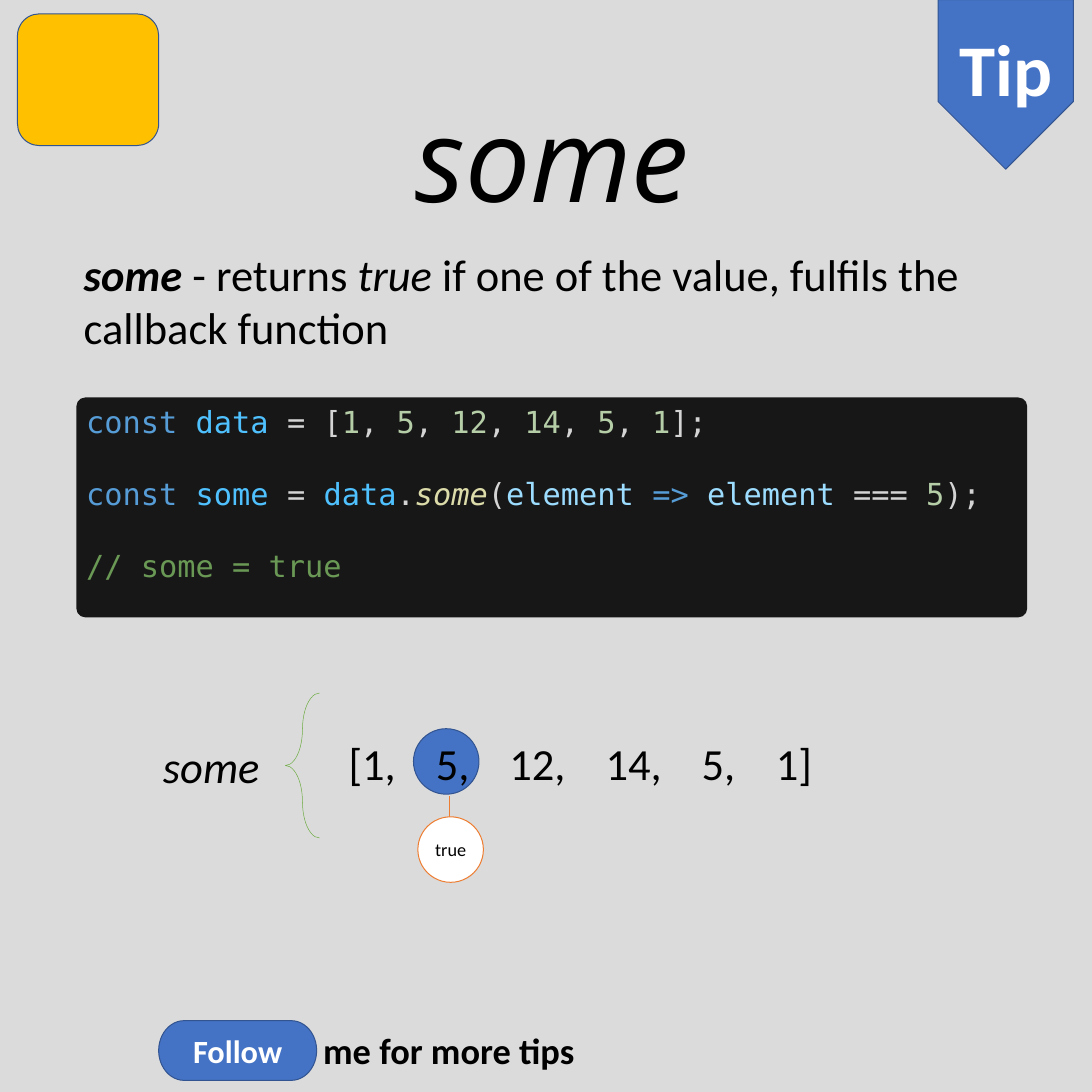
from lxml import etree
from pptx import Presentation
from pptx.dml.color import RGBColor
from pptx.enum.shapes import MSO_CONNECTOR, MSO_SHAPE
from pptx.enum.text import MSO_ANCHOR, MSO_AUTO_SIZE, PP_ALIGN
from pptx.oxml.ns import qn
from pptx.util import Inches, Pt

TOP, MID = MSO_ANCHOR.TOP, MSO_ANCHOR.MIDDLE
LEFT, CENTER = PP_ALIGN.LEFT, PP_ALIGN.CENTER
FIXED = MSO_AUTO_SIZE.NONE
ROUND, OVAL = MSO_SHAPE.ROUNDED_RECTANGLE, MSO_SHAPE.OVAL
PENNANT, PILL = MSO_SHAPE.PENTAGON, MSO_SHAPE.FLOWCHART_TERMINATOR
BRACE, STRAIGHT = MSO_SHAPE.LEFT_BRACE, MSO_CONNECTOR.STRAIGHT
SANS, MONO, HEAD = "Calibri", "DejaVu Sans Mono", "Open Sans"

HEX = {
    "page": "DBDBDB", "ink": "000000", "white": "FFFFFF", "blue": "4472C4",
    "edge": "325491", "gold": "FFC000", "green": "70AD47", "orange": "ED7D31",
    "panel": "181717", "key": "569CD6", "const": "4FC1FF", "mark": "D4D4D4",
    "num": "B5CEA8", "call": "DCDCAA", "arg": "9CDCFE", "note": "6A9955",
}

DATA = [1, 5, 12, 14, 5, 1]
NUMS = [("num", str(n)) for n in DATA]
COMMAS = [("mark", ", ")] * (len(DATA) - 1) + [("mark", "];")]
CODE = [
    [("key", "const "), ("const", "data"), ("mark", " = [")]
    + [part for pair in zip(NUMS, COMMAS) for part in pair],
    [("key", "const "), ("const", "some"), ("mark", " = "),
     ("const", "data"), ("mark", "."), ("call", "some"), ("mark", "("),
     ("arg", "element "), ("key", "=> "), ("arg", "element"),
     ("mark", " === "), ("num", "5"), ("mark", ");")],
    [("note", "// some = true")],
]
ABOUT = [("some", True, True), (" - returns ", False, False),
         ("true", False, True),
         (" if one of the value, fulfils the callback function", False, False)]
LIST = "[" + ",\t".join(map(str, DATA)) + "]"
TABS = (1.2, 2.21, 3.53, 4.85, 5.87)

prs = Presentation()
prs.slide_width = prs.slide_height = Inches(15)
slide = prs.slides.add_slide(prs.slide_layouts[1])


def tint(name):
    return RGBColor.from_string(HEX[name])


def style(run, size, color="ink", bold=False, slant=False, face=SANS):
    font = run.font
    font.size, font.name = Pt(size), face
    font.bold, font.italic = bold, slant
    font.color.rgb = tint(color)


def place(shape, box):
    shape.left, shape.top, shape.width, shape.height = map(Inches, box)


def setup(shape, anchor=TOP, wrap=True):
    frame = shape.text_frame
    frame.auto_size = FIXED
    frame.word_wrap = wrap
    frame.vertical_anchor = anchor
    return frame


def write(shape, text, size, anchor=TOP, align=LEFT, wrap=True, **look):
    frame = setup(shape, anchor, wrap)
    frame.text = text
    para = frame.paragraphs[0]
    para.alignment = align
    style(para.runs[0], size, **look)
    return para


def draw(kind, box, fill=None, line=None, width=1):
    shape = slide.shapes.add_shape(kind, *map(Inches, box))
    shape.shadow.inherit = False
    if fill:
        shape.fill.solid()
        shape.fill.fore_color.rgb = tint(fill)
    else:
        shape.fill.background()
    if line:
        shape.line.color.rgb = tint(line)
        shape.line.width = Pt(width)
    else:
        shape.line.fill.background()
    return shape


def label(box, text, size, **look):
    return write(slide.shapes.add_textbox(*map(Inches, box)), text, size, **look)


slide.background.fill.solid()
slide.background.fill.fore_color.rgb = tint("page")

title, body = slide.placeholders
place(title, (2.35, 1.13, 10.47, 2.04))
write(title, "some", 115, align=CENTER, slant=True, face=HEAD)

place(body, (1.05, 3.34, 12.58, 1.58))
para = setup(body).paragraphs[0]
para.space_before = Pt(0)
props = para._p.get_or_add_pPr()
props.set("marL", "0")
props.set("indent", "0")
etree.SubElement(props, qn("a:buNone"))
for text, bold, slant in ABOUT:
    run = para.add_run()
    run.text = text
    style(run, 44, bold=bold, slant=slant)

tip = draw(PENNANT, (12.65, 0.23, 2.33, 1.86), "blue", "edge")
tip.rotation = 90
write(tip, "Tip", 72, MID, CENTER, color="white", bold=True)
tip.text_frame._txBody.bodyPr.set("vert", "vert270")

draw(ROUND, (0.24, 0.19, 1.94, 1.81), "gold", "edge")

pill = draw(PILL, (2.18, 14.02, 2.17, 0.82), "blue", "edge")
write(pill, "Follow", 32, MID, CENTER, color="white", bold=True)
label((4.34, 14.07, 3.69, 0.71), "me for more tips", 36, wrap=False, bold=True)

panel = draw(ROUND, (1.05, 5.46, 13.06, 3.02), "panel")
panel.adjustments[0] = 0.04
frame = setup(panel)
for row, parts in enumerate(CODE):
    para = frame.add_paragraph() if row else frame.paragraphs[0]
    para.alignment = LEFT
    para.space_before = Pt(35 if row else 0)
    for kind, text in parts:
        run = para.add_run()
        run.text = text
        style(run, 30, kind, slant=kind == "call", face=MONO)

brace = draw(BRACE, (3.92, 9.52, 0.47, 1.99), line="green", width=0.5)
brace.adjustments[0] = 1.7
label((2.14, 10.1, 2.54, 0.84), "some", 44, slant=True)

draw(OVAL, (5.68, 10.01, 0.9, 0.9), "blue", "edge")
para = label((4.69, 10.06, 8.47, 0.84), LIST, 44)
stops = etree.SubElement(para._p.get_or_add_pPr(), qn("a:tabLst"))
for stop in TABS:
    etree.SubElement(stops, qn("a:tab"), pos=str(Inches(stop)), algn="l")

stem = slide.shapes.add_connector(
    STRAIGHT, *map(Inches, (6.17, 10.94, 6.17, 11.22)))
stem.line.color.rgb = tint("orange")
stem.line.width = Pt(1)
etree.SubElement(stem._element.spPr, qn("a:effectLst"))

result = draw(OVAL, (5.74, 11.22, 0.9, 0.9), "white", "orange")
write(result, "true", 18, MID, CENTER, wrap=False)

prs.save("out.pptx")
